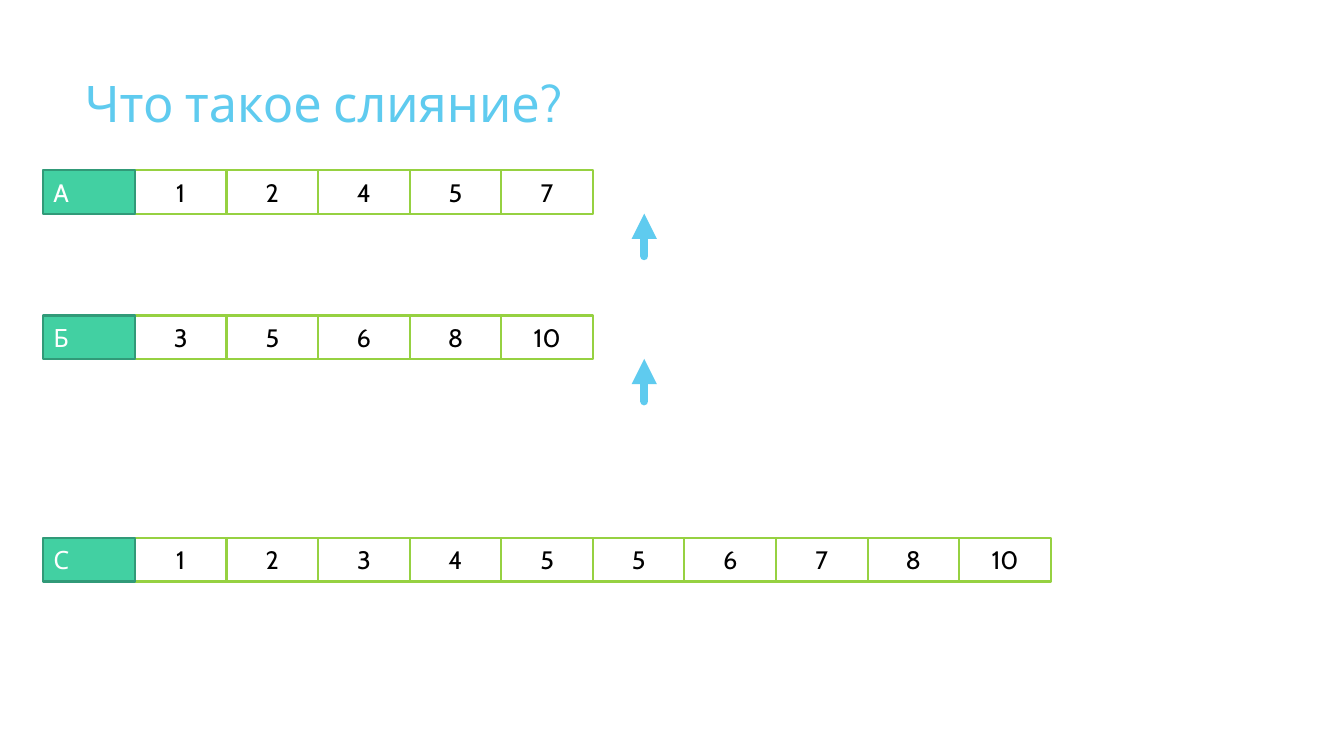
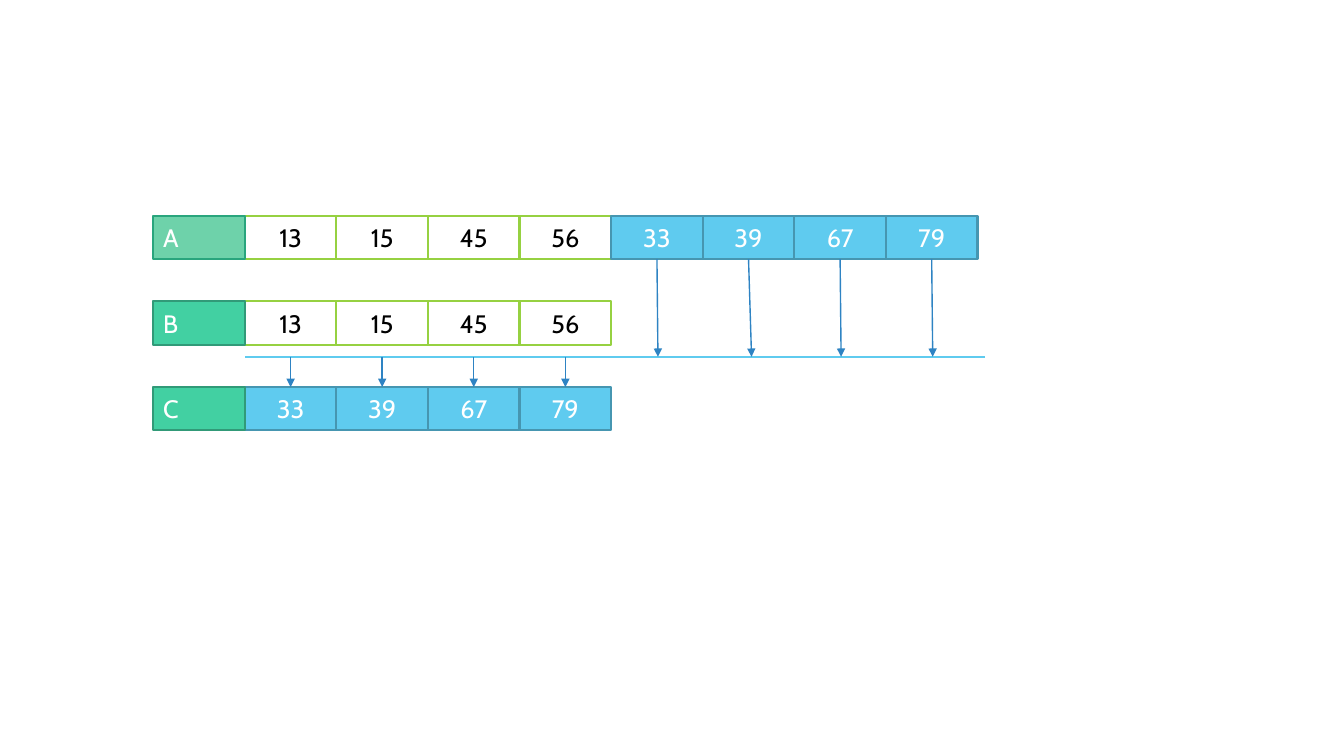
import pptx
import pptx.util
import pptx.dml.color
import pptx.enum.shapes
import pptx.enum.text
import pptx.oxml.ns
import lxml.etree

# Content: (label, label style, left, top, plain values, blue values)
TITLE = "Что такое слияние?"
MERGE = [
    ("A", "head", 0.43, 1.69, [1, 2, 4, 5, 7], []),
    ("Б", "head", 0.43, 3.13, [3, 5, 6, 8, 10], []),
    ("С", "head", 0.43, 5.34, [1, 2, 3, 4, 5, 5, 6, 7, 8, 10], []),
]
LOW, HIGH = [13, 15, 45, 56], [33, 39, 67, 79]
SPLIT = [
    ("A", "soft", 1.52, 2.14, LOW, HIGH),
    ("C", "head", 1.52, 3.84, [], HIGH),
    ("B", "head", 1.52, 2.99, LOW, []),
]
LEANS = [0.01, 0.03, 0.01, 0.01]  # sideways drift of each long arrow

# Shared style: (fill, line, text)
STYLES = {
    "plain": ("FFFFFF", "96D141", "000000"),
    "blue": ("5FCBEF", "4696B1", "FFFFFF"),
    "head": ("42D0A2", "319A78", "FFFFFF"),
    "soft": ("6ED2AA", "29A57D", "FFFFFF"),
}
SKY, DEEP = "5FCBEF", "2E83C3"
FONT = "Cabin"
CELL, HIGHT = 10.9 / 12, 0.43

Inches, Pt = pptx.util.Inches, pptx.util.Pt
ALIGN = pptx.enum.text.PP_ALIGN
qn = pptx.oxml.ns.qn


def color(code):
    return pptx.dml.color.RGBColor.from_string(code)


def write(frame, text, size, code, align):
    frame.text = text
    frame.word_wrap = True
    para = frame.paragraphs[0]
    para.alignment = align
    font = para.runs[0].font
    font.name, font.size = FONT, Pt(size)
    font.color.rgb = color(code)


def cell(slide, left, top, text, style, align=ALIGN.CENTER):
    fill, line, ink = STYLES[style]
    box = slide.shapes.add_shape(
        pptx.enum.shapes.MSO_SHAPE.RECTANGLE,
        Inches(left), Inches(top), Inches(CELL), Inches(HIGHT))
    box.shadow.inherit = False
    box.fill.solid()
    box.fill.fore_color.rgb = color(fill)
    box.line.color.rgb = color(line)
    box.line.width = Pt(1.5)
    box.text_frame.vertical_anchor = pptx.enum.text.MSO_ANCHOR.MIDDLE
    write(box.text_frame, text, 18, ink, align)


def row(slide, label, style, left, top, plain, blue):
    items = [(v, "plain") for v in plain] + [(v, "blue") for v in blue]
    for i, (value, kind) in enumerate(items, 1):
        cell(slide, left + i * CELL, top, str(value), kind)
    cell(slide, left, top, label, style, ALIGN.LEFT)


def line(slide, x1, y1, x2, y2, code, width=1, arrow=True, cap="flat"):
    link = slide.shapes.add_connector(
        pptx.enum.shapes.MSO_CONNECTOR.STRAIGHT,
        Inches(x1), Inches(y1), Inches(x2), Inches(y2))
    link.line.color.rgb = color(code)
    link.line.width = Pt(width)
    stroke = link.line._get_or_add_ln()
    stroke.set("cap", cap)
    if arrow:
        lxml.etree.SubElement(stroke, qn("a:tailEnd"), type="triangle")
    lxml.etree.SubElement(link._element.spPr, qn("a:effectLst"))


deck = pptx.Presentation()
deck.slide_width, deck.slide_height = Inches(13.33), Inches(7.5)
blank = deck.slide_layouts[6]

# Slide 1: merging two sorted rows
slide = deck.slides.add_slide(blank)
head = slide.shapes.add_textbox(
    Inches(0.74), Inches(0.67), Inches(9.4), Inches(1.44))
write(head.text_frame, TITLE, 36, SKY, ALIGN.LEFT)
for entry in MERGE:
    row(slide, *entry)
for entry in MERGE[:2]:
    foot = entry[3] + HIGHT
    line(slide, 6.39, foot + 0.42, 6.39, foot, SKY, 6, cap="rnd")

# Slide 2: splitting one row in two
slide = deck.slides.add_slide(blank)
for entry in SPLIT:
    row(slide, *entry)
left, top, base = SPLIT[0][2], SPLIT[0][3], SPLIT[1][3]
rule = 3.54
line(slide, 9.77, rule, left + CELL, rule, SKY, arrow=False)
for i, lean in enumerate(LEANS):
    near = left + (i + 1.5) * CELL
    far = near + len(LOW) * CELL
    line(slide, far, top + HIGHT, far + lean, rule, DEEP)
    line(slide, near, rule, near, base, DEEP)

deck.save("out.pptx")
